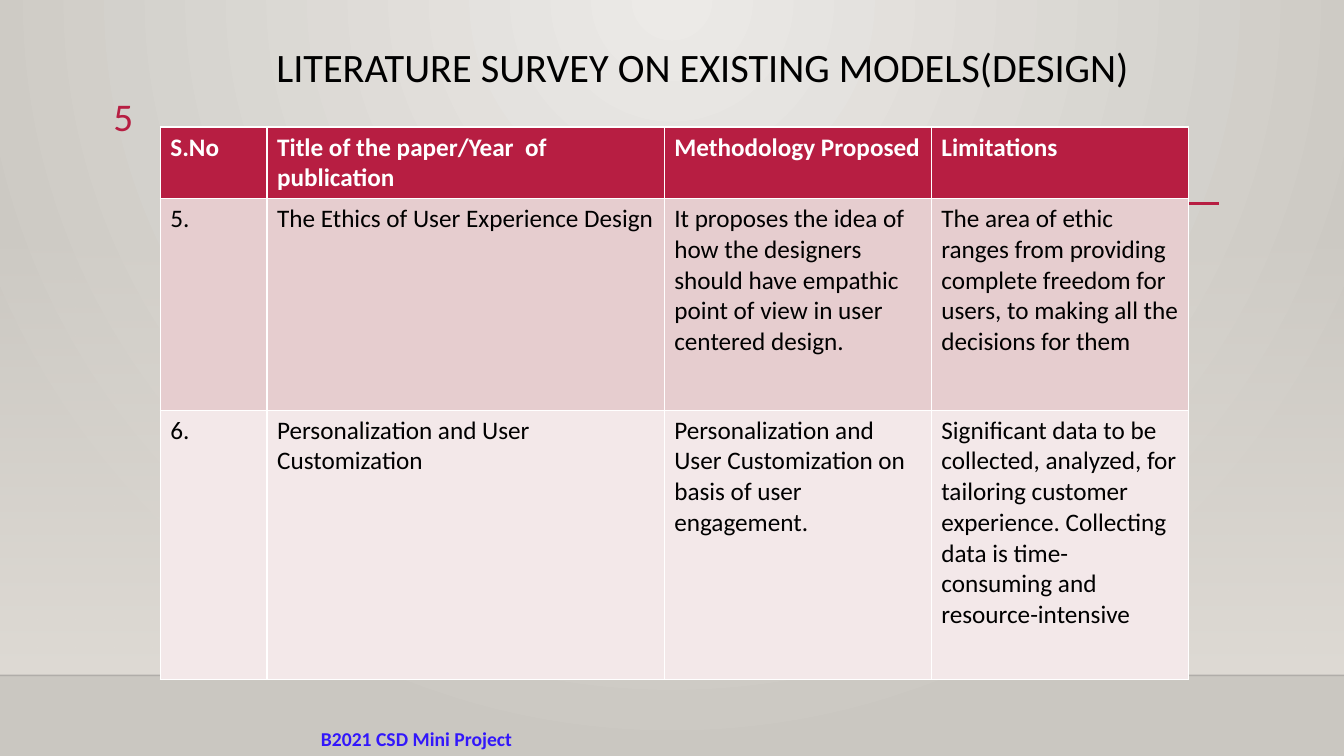
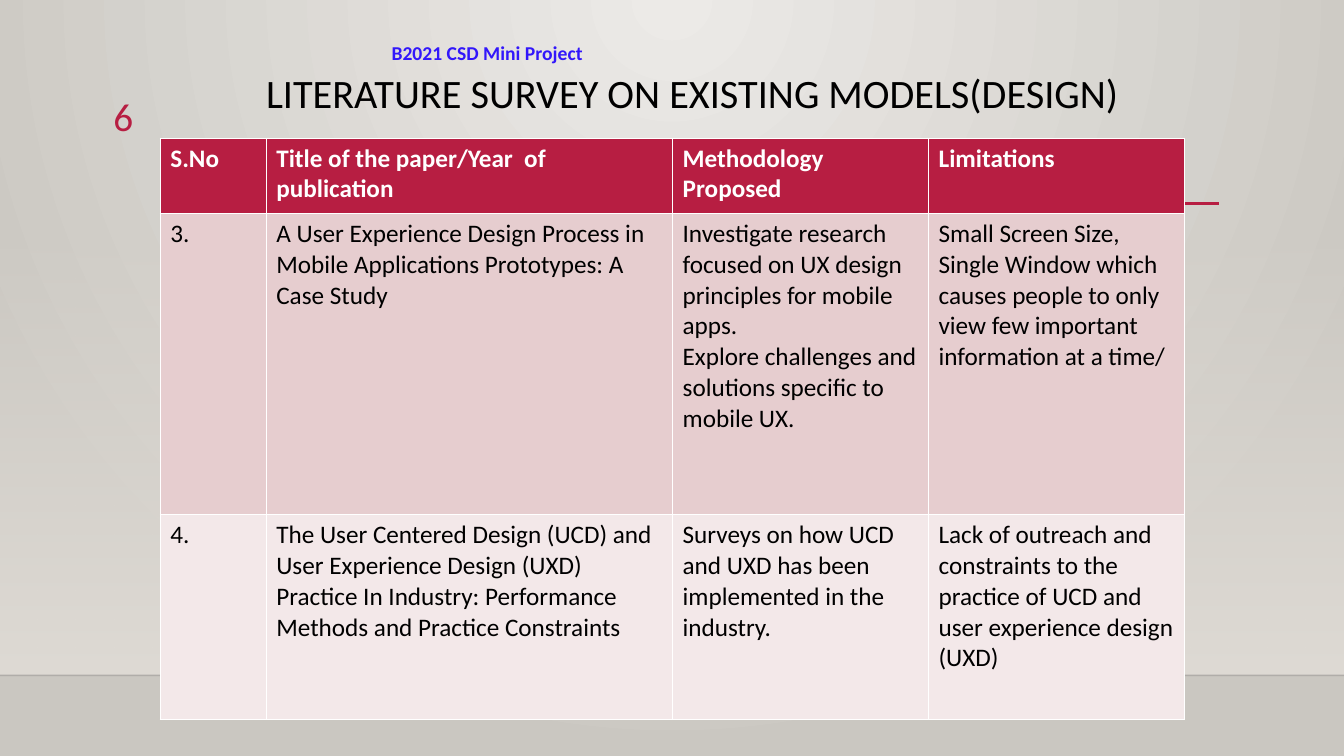
"""Build two literature survey slides that share one layout."""
from pptx import Presentation
from pptx import util as u
from pptx.dml import color
from pptx.enum import shapes, text
from pptx.oxml import parse_xml
from pptx.oxml import ns

Cm, Pt = u.Cm, u.Pt
RED, BLACK, WHITE, BLUE = "B71E42", "000000", "FFFFFF", "3217FB"
ROW_FILLS = [RED, "E6CDCF", "F3E8E9"]
HEADINGS = ["S.No", "Title of the paper/Year  of publication",
            "Methodology Proposed", "Limitations"]


def rgb(value):
    return color.RGBColor.from_string(value)


def write(frame, words, size, ink, bold=False, align=text.PP_ALIGN.LEFT):
    frame.text = words
    frame.word_wrap = True
    for para in frame.paragraphs:
        para.alignment = align
        for span in para.runs:
            span.font.name = "Calibri"
            span.font.size = Pt(size)
            span.font.bold = bold
            span.font.color.rgb = rgb(ink)


surveys = [
    {
        "number": "5",
        "title": (6.71, 1.07, 25.25, 2.13),
        "footer": (2.26, 18.19),
        "table": (4.04, 3.2),
        "columns": [2.69, 10.01, 6.73, 6.48],
        "heights": [1.7, 5.33, 6.78],
        "rows": [
            ["5.", "The Ethics of User Experience Design",
             "It proposes the idea of how the designers should have empathic "
             "point of view in user centered design.",
             "The area of ethic ranges from providing complete freedom for "
             "users, to making all the decisions for them"],
            ["6.", "Personalization and User Customization",
             "Personalization and User Customization on basis of user engagement.",
             "Significant data to be collected, analyzed, for tailoring customer "
             "experience. Collecting data is time-consuming and resource-intensive"],
        ],
    },
    {
        "number": "6",
        "title": (6.45, 1.73, 25.5, 1.98),
        "footer": (4.04, 0.91),
        "table": (4.04, 3.48),
        "columns": [2.67, 10.24, 6.45, 6.45],
        "heights": [1.9, 7.59, 5.16],
        "rows": [
            ["3.", "A User Experience Design Process in Mobile Applications "
             "Prototypes: A Case Study",
             "Investigate research focused on UX design principles for mobile apps.\n"
             "Explore challenges and solutions specific to mobile UX.",
             "Small Screen Size, Single Window which causes people to only view "
             "few important information at a time/"],
            ["4.", "The User Centered Design (UCD) and User Experience Design (UXD) "
             "Practice In Industry: Performance Methods and Practice Constraints",
             "Surveys on how UCD and UXD has been implemented in the industry.",
             "Lack of outreach and constraints to the practice of UCD and user "
             "experience design (UXD)"],
        ],
    },
]

deck = Presentation()
deck.slide_width, deck.slide_height = Cm(33.87), Cm(19.05)
layout = deck.slide_layouts[5]
pages = [deck.slides.add_slide(layout) for survey in surveys]

backdrop = layout.background.fill
backdrop.gradient()
for stop, tone in zip(backdrop.gradient_stops, ["ECEAE7", "CAC7C1"]):
    stop.color.rgb = rgb(tone)
direction = layout.element.xpath(".//p:bg//a:lin")[0]
direction.getparent().replace(direction, parse_xml(
    f'<a:path {ns.nsdecls("a")} path="circle">'
    '<a:fillToRect l="43000" t="0" r="43000" b="100000"/></a:path>'))

wall = pages[0].shapes.add_shape(
    shapes.MSO_SHAPE.RECTANGLE, 0, Cm(5.61), deck.slide_width, Cm(11.41))
wall.shadow.inherit = False
wall.line.fill.background()
wall.fill.gradient()
wall.fill.gradient_angle = 270
for stop in wall.fill.gradient_stops:
    stop.color.rgb = rgb("DFDBD5")
faded = [(wall.element.xpath(".//a:gs/a:srgbClr")[0], "0")]

shared = [wall]
for left, right, height, ink, width in [(0, 33.87, 17.02, "000001", 1),
                                        (4.04, 30.73, 5.13, RED, 2.5)]:
    rule = pages[0].shapes.add_connector(
        shapes.MSO_CONNECTOR.STRAIGHT, Cm(left), Cm(height), Cm(right), Cm(height))
    rule.line.color.rgb = rgb(ink)
    rule.line.width = Pt(width)
    rule.element.spPr.append(parse_xml(f'<a:effectLst {ns.nsdecls("a")}/>'))
    shared.append(rule)
faded.append((shared[1].element.xpath(".//a:ln//a:srgbClr")[0], "20000"))
for tint, opacity in faded:
    tint.append(parse_xml(f'<a:alpha {ns.nsdecls("a")} val="{opacity}"/>'))

for index, item in enumerate(shared, 20):
    item.element.xpath(".//p:cNvPr")[0].set("id", str(index))
    layout.shapes.element.append(item.element)

for page, survey in zip(pages, surveys):
    title = page.shapes.title
    title.left, title.top, title.width, title.height = map(Cm, survey["title"])
    write(title.text_frame, "LITERATURE SURVEY ON EXISTING MODELS(DESIGN)", 28.8, BLACK)
    title.text_frame.auto_size = text.MSO_AUTO_SIZE.NONE
    title.text_frame.vertical_anchor = text.MSO_ANCHOR.TOP
    title.text_frame.paragraphs[0].line_spacing = 0.9

    left, top = survey["table"]
    rows = [HEADINGS] + survey["rows"]
    table = page.shapes.add_table(
        len(rows), len(HEADINGS), Cm(left), Cm(top),
        Cm(sum(survey["columns"])), Cm(sum(survey["heights"]))).table
    for column, width in zip(table.columns, survey["columns"]):
        column.width = Cm(width)
    for index, (row, height) in enumerate(zip(table.rows, survey["heights"])):
        row.height = Cm(height)
        heading = index == 0
        for cell, words in zip(row.cells, rows[index]):
            cell.fill.solid()
            cell.fill.fore_color.rgb = rgb(ROW_FILLS[index])
            write(cell.text_frame, words, 18, WHITE if heading else BLACK, heading)

    left, top = survey["footer"]
    footer = page.shapes.add_textbox(Cm(left), Cm(top), Cm(16.48), Cm(0.86))
    write(footer.text_frame, "B2021 CSD Mini Project", 14, BLUE, True, text.PP_ALIGN.CENTER)
    footer.text_frame.vertical_anchor = text.MSO_ANCHOR.MIDDLE

    number = page.shapes.add_textbox(Cm(1.35), Cm(2.21), Cm(2.26), Cm(1.4))
    write(number.text_frame, survey["number"], 28, RED, align=text.PP_ALIGN.RIGHT)

deck.save("out.pptx")
